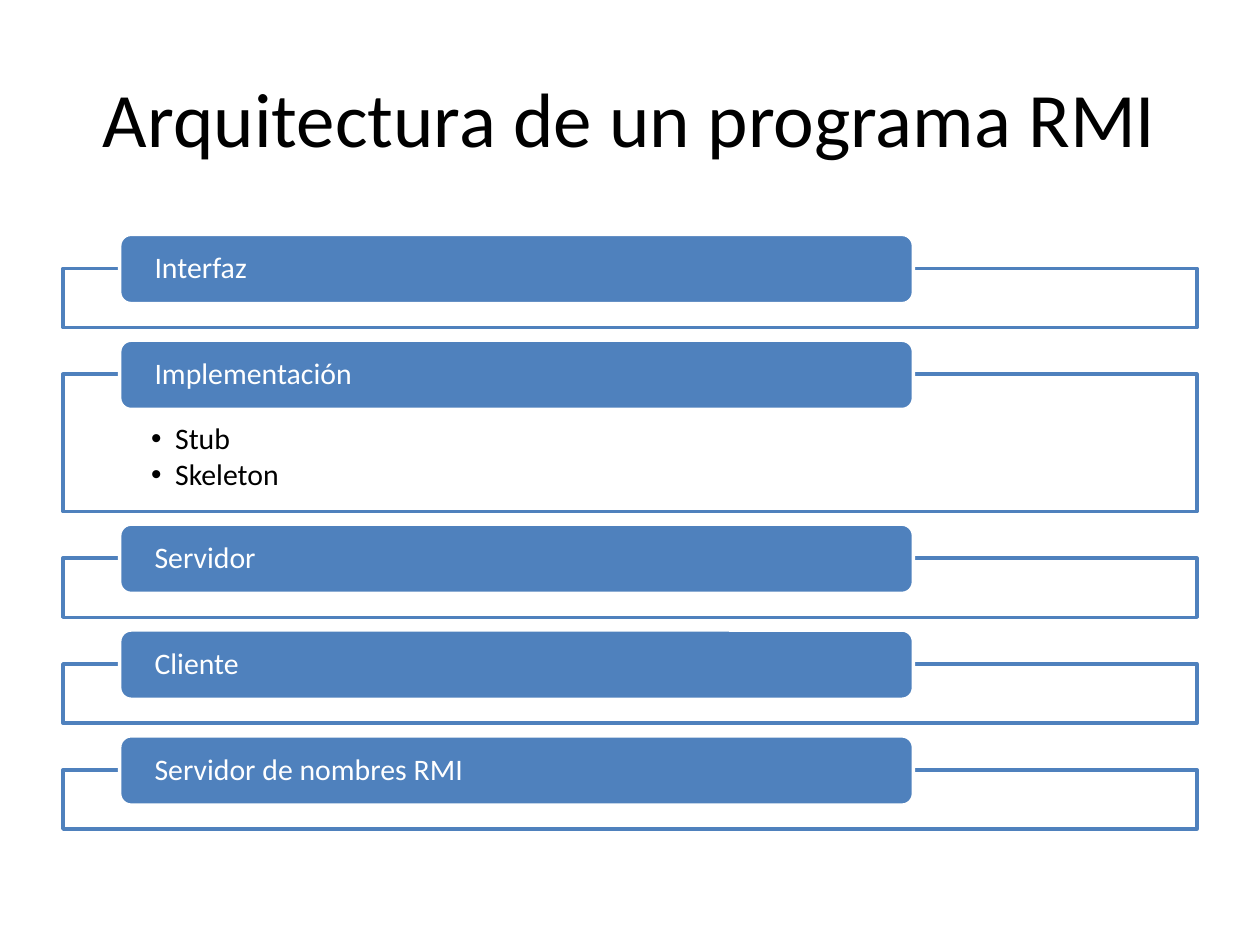
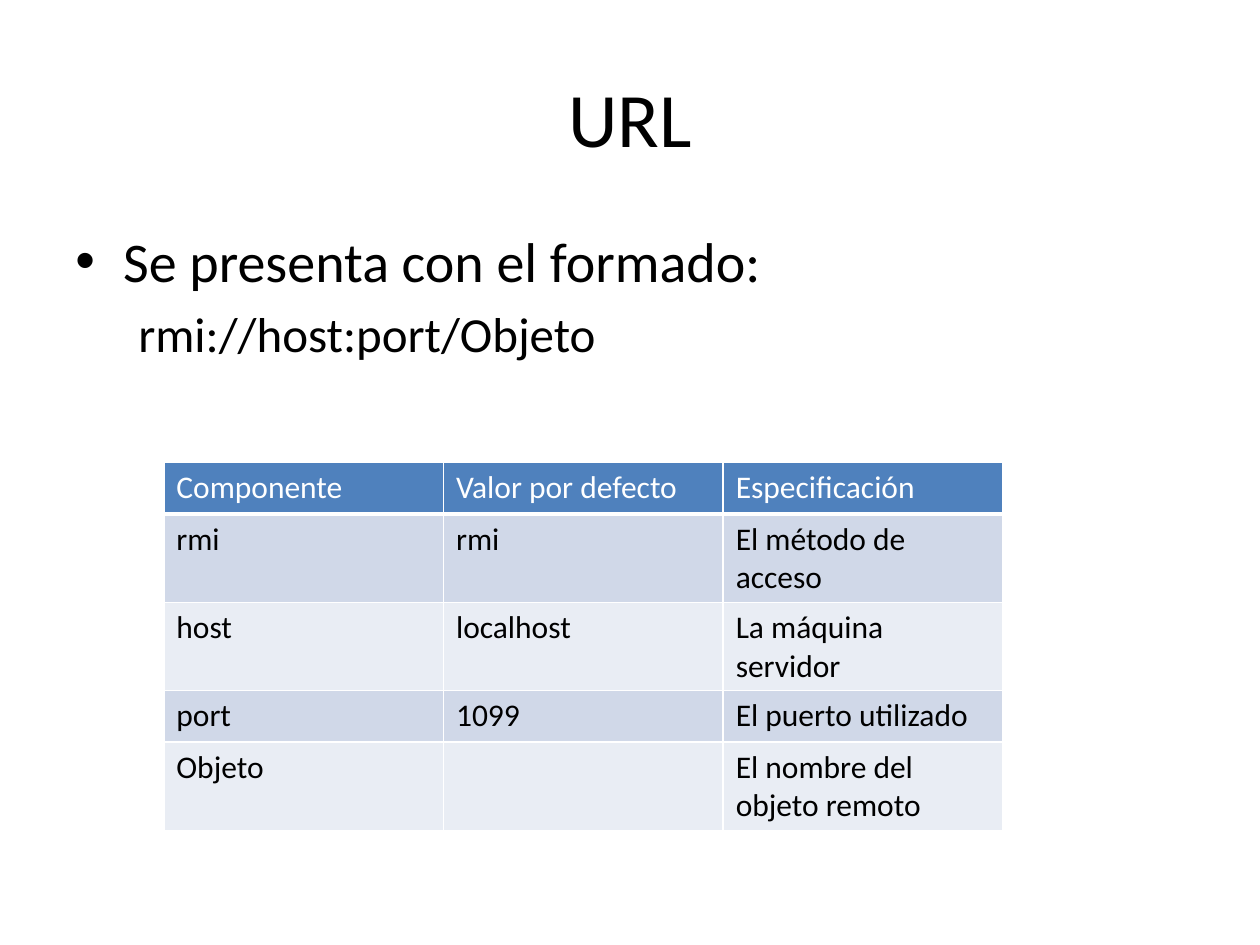
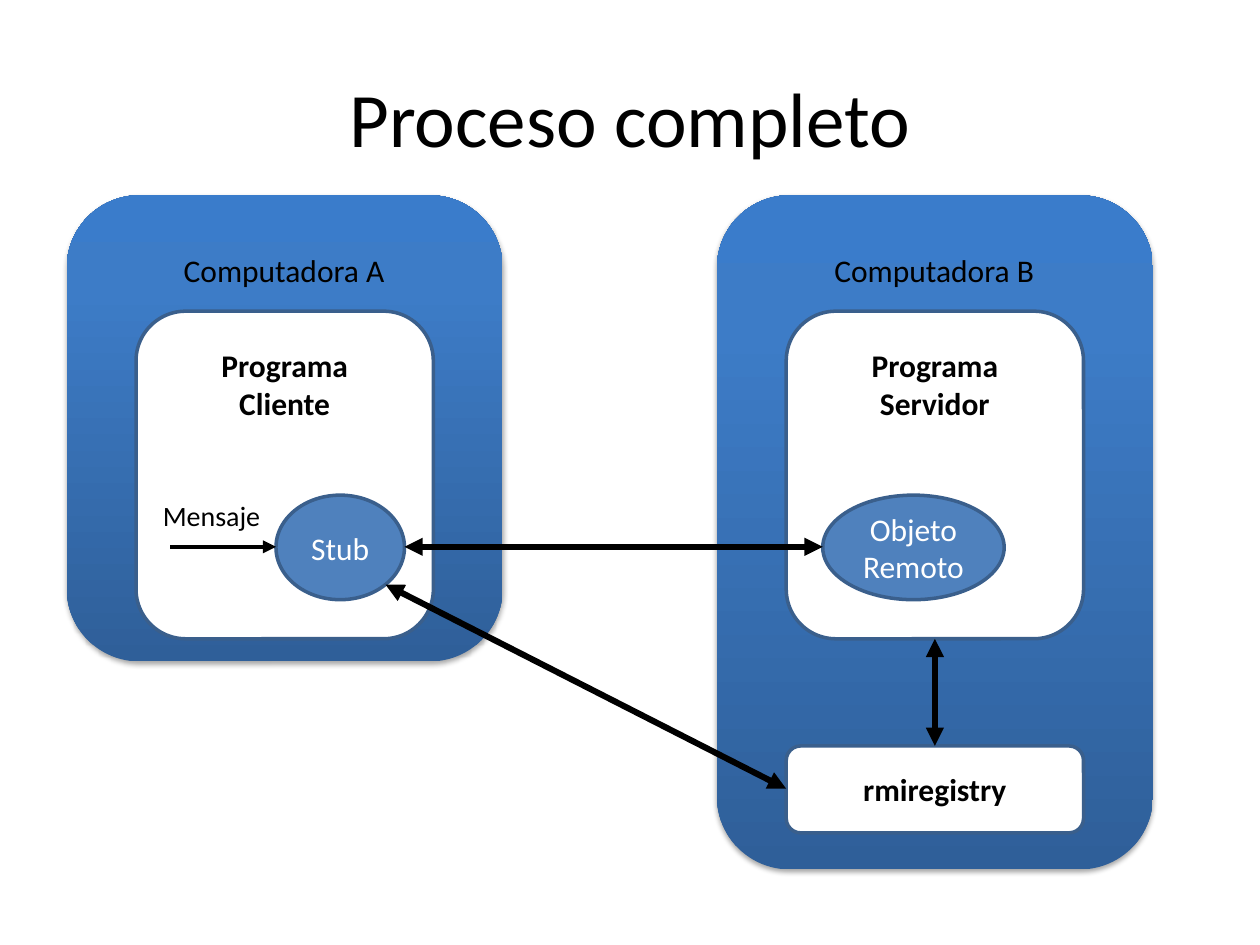
from typing import NamedTuple

from lxml import etree
from pptx import Presentation
from pptx.dml.color import RGBColor
from pptx.enum.shapes import MSO_CONNECTOR as Connector, MSO_SHAPE as Preset
from pptx.enum.text import MSO_ANCHOR as Anchor, PP_ALIGN as Align
from pptx.oxml.ns import qn
from pptx.util import Emu, Pt

EMU_PER_PX = 9144  # 100 px to the inch
FONT = "Calibri"
BLACK, WHITE = "000000", "FFFFFF"
BLUE, DARK_BLUE = "4F81BD", "3A5F8C"
BANDS = ("D0D8E8", "E9EDF4")
COMPUTER_GRADIENT = ((0, "2F5F99"), (80, "3D7CC7"), (100, "3A7CCB"))


class Box(NamedTuple):
    left: int
    top: int
    width: int
    height: int

    def inside(self, x, y, width, height):
        return Box(self.left + x, self.top + y, width, height)

    def point(self, across, down):
        return (round(self.left + across * self.width),
                round(self.top + down * self.height))


TITLE_BOX = Box(50, 30, 900, 125)


def px(length):
    return Emu(length * EMU_PER_PX)


def color(value):
    return RGBColor.from_string(value)


def add_xml(parent, tag, **attributes):
    return etree.SubElement(parent, qn(tag), attributes)


def add_solid_xml(parent, value):
    return add_xml(add_xml(parent, "a:solidFill"), "a:srgbClr", val=value)


# Text
def set_text(shape, lines, size, value=BLACK, bold=False, align=Align.CENTER,
             anchor=Anchor.MIDDLE, insets=(10, 5, 10, 5), wrap=True):
    frame = shape.text_frame
    frame.text = "\n".join(lines)
    frame.word_wrap = wrap
    frame.vertical_anchor = anchor
    (frame.margin_left, frame.margin_top,
     frame.margin_right, frame.margin_bottom) = map(px, insets)
    for paragraph in frame.paragraphs:
        paragraph.alignment = align
        set_font(paragraph, size, value, bold)
    return frame


def set_font(paragraph, size, value=BLACK, bold=False):
    for run in paragraph.runs:
        run.font.name = FONT
        run.font.size = Pt(size)
        run.font.bold = bold
        run.font.color.rgb = color(value)


def set_indent(paragraph, left, bullet=False):
    properties = paragraph._p.get_or_add_pPr()
    properties.set("marL", str(px(left)))
    properties.set("indent", str(px(-left if bullet else 0)))
    if bullet:
        add_xml(properties, "a:buFont", typeface="Arial")
        add_xml(properties, "a:buChar", char="•")


# Shapes
def add_text_box(slide, box):
    return slide.shapes.add_textbox(*map(px, box))


def add_box(slide, preset, box, fill, line=None):
    shape = slide.shapes.add_shape(preset, *map(px, box))
    shape.shadow.inherit = False
    shape.fill.solid()
    shape.fill.fore_color.rgb = color(fill)
    if line:
        shape.line.color.rgb = color(line)
        shape.line.width = Pt(2)
    else:
        shape.line.fill.background()
    return shape


def add_arrow(slide, start, end, width=3.5, both_ends=True):
    arrow = slide.shapes.add_connector(Connector.STRAIGHT, *map(px, start + end))
    arrow.line.color.rgb = color(BLACK)
    arrow.line.width = Pt(width)
    properties = arrow._element.spPr
    line = properties.find(qn("a:ln"))
    if both_ends:
        add_xml(line, "a:headEnd", type="triangle")
    add_xml(line, "a:tailEnd", type="triangle")
    add_xml(properties, "a:effectLst")


def add_titled_slide(presentation, title):
    slide = presentation.slides.add_slide(presentation.slide_layouts[6])
    set_text(add_text_box(slide, TITLE_BOX), [title], 44)
    return slide


# Framed list
def add_section(slide, box, heading, items):
    frame = add_box(slide, Preset.RECTANGLE, box, WHITE, BLUE)
    if items:
        text = set_text(frame, items, 17, align=Align.LEFT, anchor=Anchor.TOP,
                        insets=(70, 39, 70, 13))
        for paragraph in text.paragraphs:
            paragraph.line_spacing = 0.9
            paragraph.space_after = Pt(2.5)
            set_indent(paragraph, 19, bullet=True)
    tab = add_box(slide, Preset.ROUNDED_RECTANGLE, box.inside(45, -27, 630, 55),
                  BLUE, WHITE)
    text = set_text(tab, [heading], 17, WHITE, align=Align.LEFT,
                    insets=(25, 0, 25, 0))
    text.paragraphs[0].line_spacing = 0.9


def build_architecture(presentation):
    slide = add_titled_slide(presentation, "Arquitectura de un programa RMI")
    sections = (("Interfaz", ()), ("Implementación", ("Stub", "Skeleton")),
                ("Servidor", ()), ("Cliente", ()), ("Servidor de nombres RMI", ()))
    top, gap = 213, 37
    for heading, items in sections:
        height = 109 if items else 47
        add_section(slide, Box(50, top, 900, height), heading, items)
        top += height + gap


# URL format and its table
def add_borders(cell, bottom):
    properties = cell._tc.get_or_add_tcPr()
    for side, width in (("L", 1), ("R", 1), ("T", 1), ("B", bottom)):
        line = add_xml(properties, f"a:ln{side}", w=str(Pt(width)))
        add_solid_xml(line, WHITE)


def add_component_table(slide, box, rows):
    columns = len(rows[0])
    table = slide.shapes.add_table(len(rows), columns, *map(px, box)).table
    for column in table.columns:
        column.width = px(box.width // columns)
    for row_index, row in enumerate(rows):
        header = row_index == 0
        table.rows[row_index].height = px(box.height // len(rows))
        for column_index, text in enumerate(row):
            cell = table.cell(row_index, column_index)
            add_borders(cell, 3 if header else 1)
            cell.fill.solid()
            cell.fill.fore_color.rgb = color(
                BLUE if header else BANDS[(row_index - 1) % 2])
            cell.text_frame.text = text
            set_font(cell.text_frame.paragraphs[0], 18, WHITE if header else BLACK)


def build_url(presentation):
    slide = add_titled_slide(presentation, "URL")
    body = set_text(add_text_box(slide, Box(50, 175, 900, 495)),
                    ["Se presenta con el formado:", "rmi://host:port/Objeto"], 32,
                    align=Align.LEFT, anchor=Anchor.TOP)
    statement, pattern = body.paragraphs
    set_font(pattern, 28)
    statement.space_before, pattern.space_before = Pt(6.4), Pt(5.6)
    set_indent(statement, 38, bullet=True)
    set_indent(pattern, 50)
    add_component_table(slide, Box(130, 367, 666, 205), (
        ("Componente", "Valor por defecto", "Especificación"),
        ("rmi", "rmi", "El método de acceso"),
        ("host", "localhost", "La máquina servidor"),
        ("port", "1099", "El puerto utilizado"),
        ("Objeto", "", "El nombre del objeto remoto")))


# Computers and their messages
def shade_computer(shape):
    properties = shape._element.spPr
    properties.remove(properties.find(qn("a:solidFill")))
    gradient = etree.Element(qn("a:gradFill"), rotWithShape="1")
    stops = add_xml(gradient, "a:gsLst")
    for position, value in COMPUTER_GRADIENT:
        stop = add_xml(stops, "a:gs", pos=str(position * 1000))
        add_xml(stop, "a:srgbClr", val=value)
    add_xml(gradient, "a:lin", ang="16200000", scaled="0")
    properties.find(qn("a:prstGeom")).addnext(gradient)
    shadow = add_xml(properties.find(qn("a:effectLst")), "a:outerShdw",
                     blurRad=str(Pt(3.1)), dist=str(Pt(1.8)), dir="5400000",
                     rotWithShape="0")
    add_xml(add_xml(shadow, "a:srgbClr", val=BLACK), "a:alpha", val="35000")


def add_computer(slide, box, name, program_lines, node_lines, node_x, node_width):
    shade_computer(add_box(slide, Preset.ROUNDED_RECTANGLE, box, BLUE))
    label = add_text_box(slide, box.inside((box.width - 181) // 2, 39, 181, 40))
    set_text(label, [name], 18, wrap=False)
    program_box = box.inside(55, 92, 236, 260)
    program = add_box(slide, Preset.ROUNDED_RECTANGLE, program_box, WHITE, DARK_BLUE)
    program_text = set_text(program, program_lines, 18, bold=True,
                            anchor=Anchor.TOP, insets=(10, 16, 10, 5))
    node_box = box.inside(node_x, 238, node_width, 83)
    node = add_box(slide, Preset.OVAL, node_box, BLUE, DARK_BLUE)
    set_text(node, node_lines, 18, WHITE)
    return program_box, node_box, program_text


def build_process(presentation):
    slide = add_titled_slide(presentation, "Proceso completo")
    _, stub, client_text = add_computer(
        slide, Box(53, 155, 346, 370), "Computadora A",
        ["Programa", "Cliente", "Mensaje"], ["Stub"], 166, 102)
    message = client_text.paragraphs[-1]
    message.alignment = Align.LEFT
    message.space_before = Pt(44)
    set_font(message, 16)

    computer_b = Box(569, 155, 346, 535)
    server, remote_object, _ = add_computer(
        slide, computer_b, "Computadora B", ["Programa", "Servidor"],
        ["Objeto", "Remoto"], 84, 144)
    registry = computer_b.inside(55, 437, 236, 69)
    set_text(add_box(slide, Preset.ROUNDED_RECTANGLE, registry, WHITE, DARK_BLUE),
             ["rmiregistry"], 18, bold=True)

    stub_left = stub.point(0, 0.5)
    add_arrow(slide, (stub_left[0] - 84, stub_left[1]), stub_left, 2.5, False)
    add_arrow(slide, stub.point(1, 0.5), remote_object.point(0, 0.5))
    add_arrow(slide, stub.point(0.85, 0.85), registry.point(0, 0.5))
    add_arrow(slide, server.point(0.5, 1), registry.point(0.5, 0))


def main():
    presentation = Presentation()
    presentation.slide_width, presentation.slide_height = px(1000), px(750)
    build_architecture(presentation)
    build_url(presentation)
    build_process(presentation)
    presentation.save("out.pptx")


if __name__ == "__main__":
    main()
